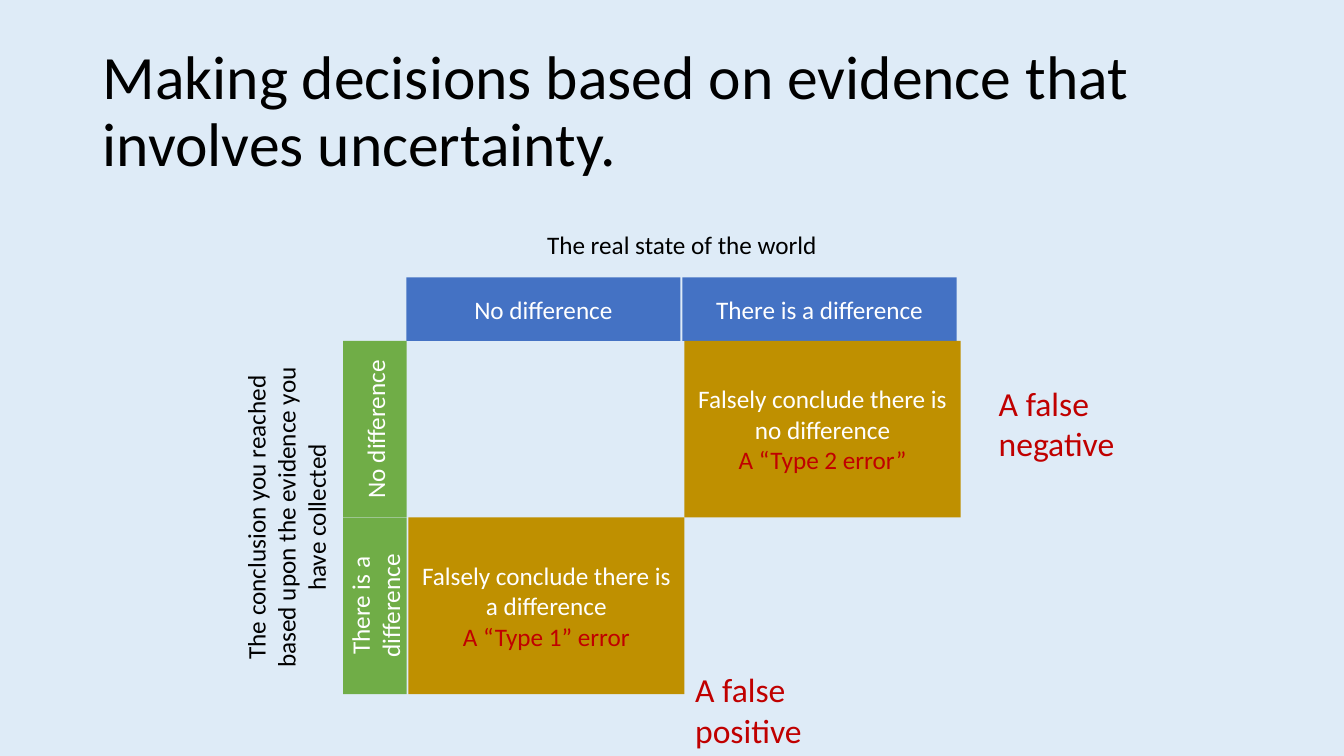
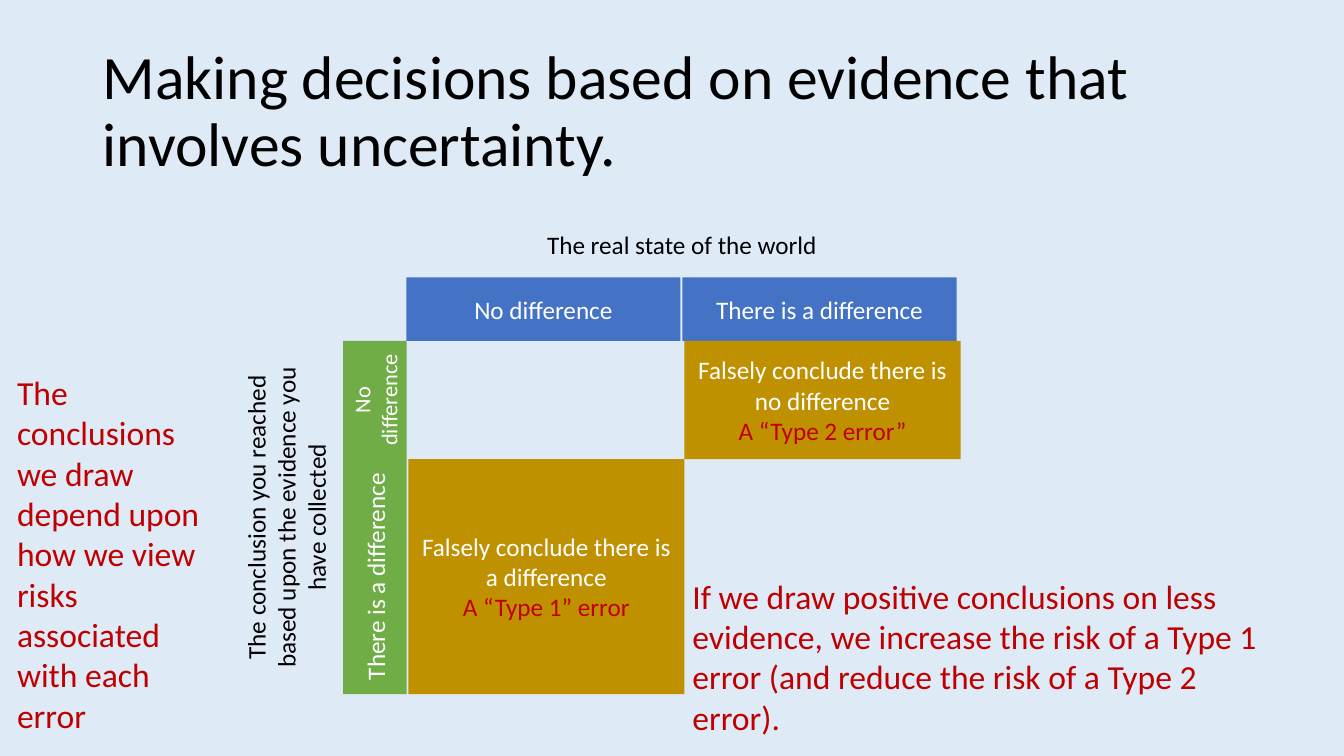
from pptx import Presentation, util as u
from pptx.dml.color import RGBColor
from pptx.enum import shapes, text

HUES = {"sky": "DEEBF7", "black": "000000", "white": "FFFFFF", "blue": "4472C4",
        "green": "70AD47", "gold": "BF9000", "red": "C00000"}
FONT = "Calibri"
TITLE = "Making decisions based on evidence that involves uncertainty."
TOP = "The real state of the world"
SIDE = "The conclusion you reached based upon the evidence you have collected"
HEADS = ["No difference", "There is a difference"]
ERRORS = [
    ("Falsely conclude there is no difference", "A “Type 2 error”"),
    ("Falsely conclude there is a difference", "A “Type 1” error"),
]
SLIDES = [
    {"rows": (4.45, 4.45), "sizes": (18, 18), "notes": [
        ("A false negative", (24.92, 9.52, 4.42, 2.31)),
        ("A false positive", (17.27, 16.74, 4.42, 2.31))]},
    {"rows": (2.98, 5.92), "sizes": (16, 18), "notes": [
        ("The conclusions we draw depend upon how we view risks associated with each error",
         (0.18, 9.25, 5.51, 9.5)),
        ("If we draw positive conclusions on less evidence, we increase the risk of a "
         "Type 1 error (and reduce the risk of a Type 2 error).",
         (17.2, 14.38, 14.99, 4.37))]},
]
GRID_X, GRID_Y, CELL_W, BAR = 10.29, 8.59, 6.96, 1.6
HEAD_X, HEAD_W, HEAD_GAP = 10.24, 6.91, 0.05
BAR_X = 8.65
CENTER = text.PP_ALIGN.CENTER
MIDDLE = text.MSO_ANCHOR.MIDDLE


def tint(hue):
    return RGBColor.from_string(HUES[hue])


def style(obj, values):
    for name, value in values.items():
        setattr(obj, name, value)


def place(shape, frame, turn=False):
    x, y, w, h = frame
    if turn:
        x, y, w, h = x + (w - h) / 2, y + (h - w) / 2, h, w
        shape.rotation = 270
    style(shape, dict(zip(("left", "top", "width", "height"), map(u.Cm, (x, y, w, h)))))


def write(shape, lines, size, align=CENTER, spacing=None, **look):
    frame = shape.text_frame
    style(frame, {"word_wrap": True, "auto_size": text.MSO_AUTO_SIZE.NONE,
                  "vertical_anchor": MIDDLE, **look})
    for i, (words, hue) in enumerate(lines):
        para = frame.add_paragraph() if i else frame.paragraphs[0]
        style(para, {"alignment": align, "line_spacing": spacing})
        run = para.add_run()
        run.text = words
        style(run.font, {"name": FONT, "size": u.Pt(size)})
        run.font.color.rgb = tint(hue)


def label(slide, words, frame, turn=False, size=18, hue="black", **look):
    box = slide.shapes.add_textbox(0, 0, 0, 0)
    write(box, [(words, hue)], size, **look)
    place(box, frame, turn)


def block(slide, lines, frame, hue, turn=False, size=18):
    rect = slide.shapes.add_shape(shapes.MSO_SHAPE.RECTANGLE, 0, 0, 0, 0)
    rect.shadow.inherit = False
    rect.fill.solid()
    rect.fill.fore_color.rgb = tint(hue)
    rect.line.fill.background()
    write(rect, lines, size)
    place(rect, frame, turn)


def build(deck, data):
    slide = deck.slides.add_slide(deck.slide_layouts[5])
    title = slide.shapes.title
    place(title, (2.33, 1.01, 29.21, 3.68))
    write(title, [(TITLE, "black")], 44, text.PP_ALIGN.LEFT, 0.9)

    label(slide, TOP, (HEAD_X, 5.36, 13.89, BAR))
    for i, head in enumerate(HEADS):
        x = HEAD_X + i * (HEAD_W + HEAD_GAP)
        block(slide, [(head, "white")], (x, GRID_Y - BAR, HEAD_W, BAR), "blue")

    y = GRID_Y
    for i, (high, size) in enumerate(zip(data["rows"], data["sizes"])):
        block(slide, [(HEADS[i], "white")], (BAR_X, y, BAR, high), "green", True, size)
        claim, error = ERRORS[i]
        block(slide, [(claim, "white"), (error, "red")],
              (GRID_X + (1 - i) * CELL_W, y, CELL_W, high), "gold")
        y += high

    label(slide, SIDE, (5.75, GRID_Y, 2.9, sum(data["rows"])), True)
    for words, frame in data["notes"]:
        label(slide, words, frame, size=24, hue="red", align=text.PP_ALIGN.LEFT,
              vertical_anchor=text.MSO_ANCHOR.TOP,
              auto_size=text.MSO_AUTO_SIZE.SHAPE_TO_FIT_TEXT)


def main():
    deck = Presentation()
    style(deck, {"slide_width": u.Cm(33.87), "slide_height": u.Cm(19.05)})
    back = deck.slide_master.background.fill
    back.solid()
    back.fore_color.rgb = tint("sky")
    for data in SLIDES:
        build(deck, data)
    deck.save("out.pptx")


if __name__ == "__main__":
    main()
